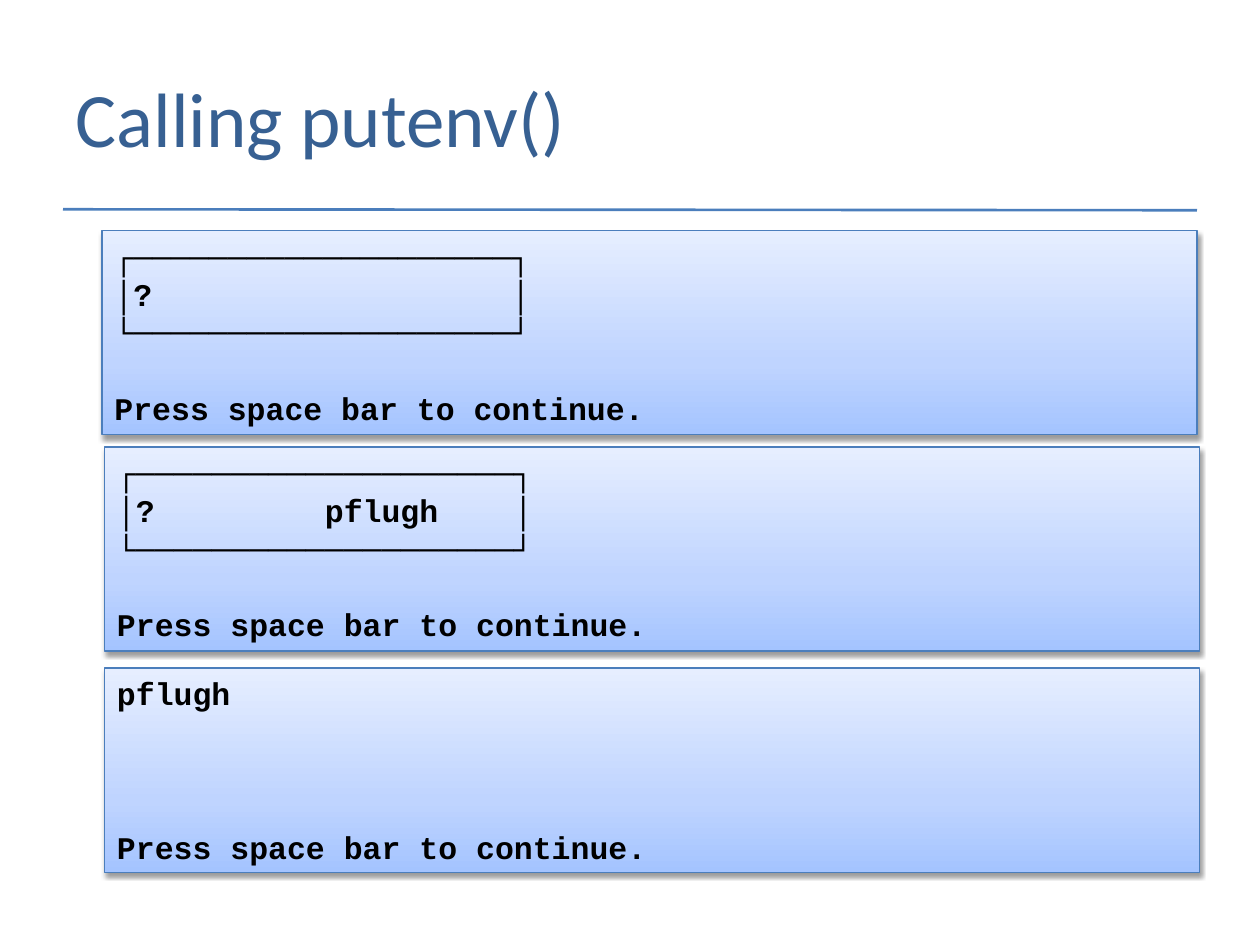
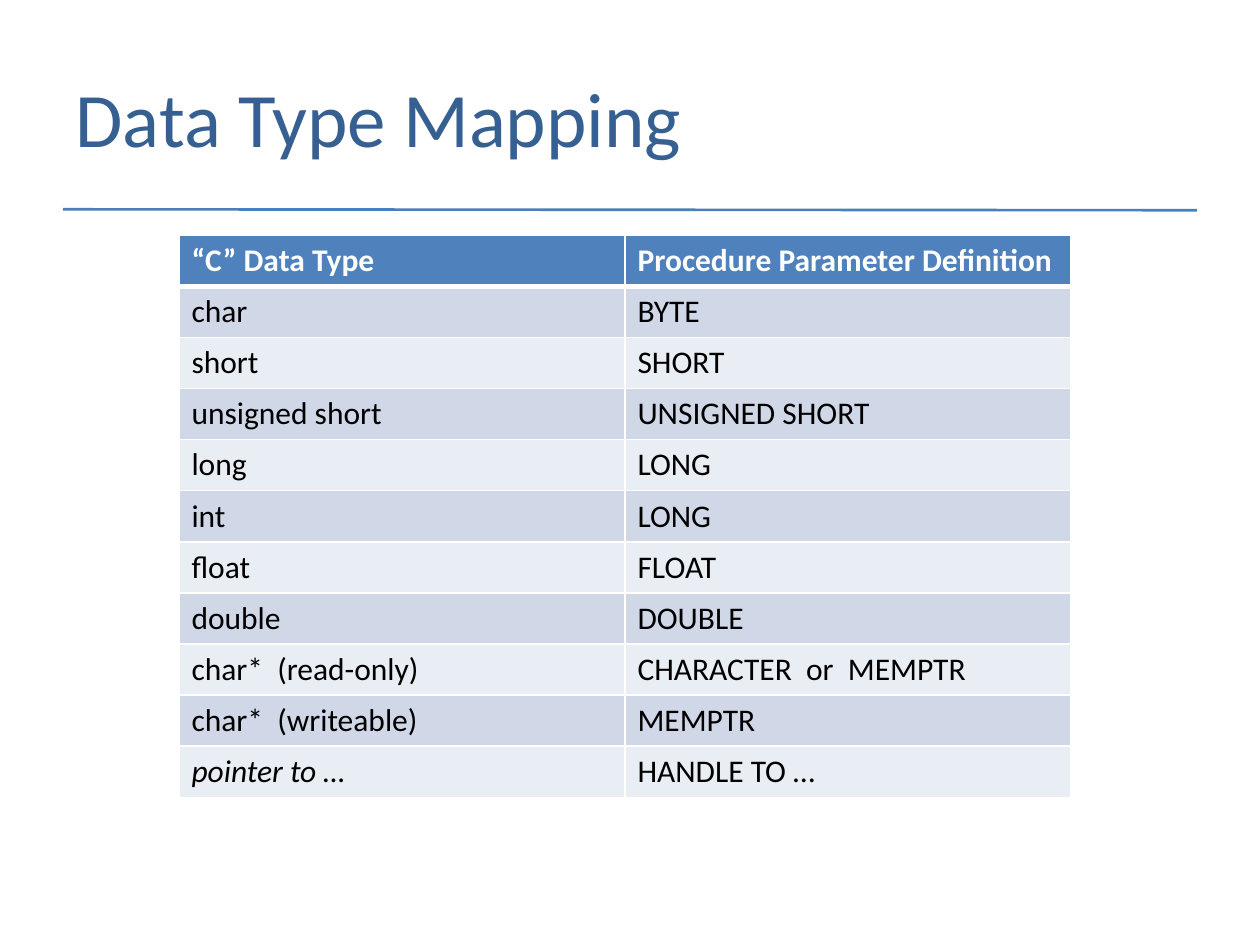
"""Build two slides: console panels for putenv() and a data type mapping table."""
import copy
from dataclasses import dataclass

from lxml import etree
from pptx import Presentation
from pptx import util as u
from pptx.dml.color import RGBColor
from pptx.enum import shapes, text
from pptx.oxml import ns


@dataclass(frozen=True)
class Theme:
    title: str = "376092"
    rule: str = "4B7EBC"
    header: str = "4F81BD"
    bands: tuple[str, str] = ("D0D8E8", "E9EDF4")
    gradient: tuple[tuple[int, str], ...] = ((0, "A4C4FF"), (35, "BFD4FF"), (100, "E6EEFF"))
    white: str = "FFFFFF"
    black: str = "000000"
    sans: str = "Calibri"
    mono: str = "Courier New"
    title_size: float = 44
    body_size: float = 18
    blank_line: float = 22
    mono_advance: float = 0.6


@dataclass(frozen=True)
class Line:
    content: str
    blanks_before: int = 0
    tab_columns: tuple[int, ...] = ()


@dataclass(frozen=True)
class Panel:
    left: float
    top: float
    lines: tuple[Line, ...]


THEME = Theme()
WIDTH, HEIGHT = u.Inches(10), u.Inches(7.5)
MARGIN = 0.05
PANEL_WIDTH, PANEL_HEIGHT = 0.869, 0.216
FRAME_COLUMNS = 20
FRAME_TOP = Line("┌" + "─" * FRAME_COLUMNS + "┐")
FRAME_BOTTOM = Line("└" + "─" * FRAME_COLUMNS + "┘")
PROMPT = "Press space bar to continue."
RIGHT_EDGE = FRAME_COLUMNS + 1

PANELS = (
    Panel(0.081, 0.244, (FRAME_TOP, Line("│?\t│", 0, (RIGHT_EDGE,)), FRAME_BOTTOM, Line(PROMPT, 1))),
    Panel(0.083, 0.473, (FRAME_TOP, Line("│?\tpflugh\t│", 0, (11, RIGHT_EDGE)), FRAME_BOTTOM, Line(PROMPT, 1))),
    Panel(0.083, 0.707, (Line("pflugh"), Line(PROMPT, 3))),
)

MAPPING = (
    ("“C” Data Type", "Procedure Parameter Definition"),
    ("char", "BYTE"),
    ("short", "SHORT"),
    ("unsigned short", "UNSIGNED SHORT"),
    ("long", "LONG"),
    ("int", "LONG"),
    ("float", "FLOAT"),
    ("double", "DOUBLE"),
    ("char*  (read-only)", "CHARACTER  or  MEMPTR"),
    ("char*  (writeable)", "MEMPTR"),
    ("pointer to …", "HANDLE TO …"),
)


def across(share: float) -> u.Emu:
    """Return a share of the slide width."""
    return u.Emu(round(WIDTH * share))


def down(share: float) -> u.Emu:
    """Return a share of the slide height."""
    return u.Emu(round(HEIGHT * share))


def child(parent, tag: str, **attributes):
    """Append a DrawingML element to its parent."""
    return etree.SubElement(parent, ns.qn(tag), {name: str(value) for name, value in attributes.items()})


def add_run(paragraph, content: str, font: str, size: float, color: str,
            bold: bool = False, italic: bool = False) -> None:
    """Add one formatted run to a paragraph."""
    run = paragraph.add_run()
    run.text = content
    run.font.name, run.font.size = font, u.Pt(size)
    run.font.bold, run.font.italic = bold, italic
    run.font.color.rgb = RGBColor.from_string(color)


def add_titled_slide(presentation, title: str):
    """Add a slide with the shared title style and rule."""
    slide = presentation.slides.add_slide(presentation.slide_layouts[5])
    shape = slide.shapes.title
    shape.left, shape.top = across(MARGIN), down(0.04)
    shape.width, shape.height = across(0.783), down(1 / 6)
    frame = shape.text_frame
    frame.word_wrap = True
    frame.vertical_anchor = text.MSO_ANCHOR.MIDDLE
    paragraph = frame.paragraphs[0]
    paragraph.alignment = text.PP_ALIGN.LEFT
    add_run(paragraph, title, THEME.sans, THEME.title_size, THEME.title)
    rule = slide.shapes.add_connector(
        shapes.MSO_CONNECTOR.STRAIGHT, across(MARGIN), down(0.2215), across(1 - MARGIN), down(0.2225))
    rule.line.color.rgb = RGBColor.from_string(THEME.rule)
    rule.line.width = u.Pt(1.5)
    child(rule._element.spPr, "a:effectLst")
    return slide


def style_panel(shape) -> None:
    """Give a panel its gradient, outline and soft shadow."""
    shape.fill.gradient()
    shape.fill.gradient_angle = 90
    stops = shape._element.spPr.find(".//" + ns.qn("a:gsLst"))
    stops.insert(1, copy.deepcopy(stops[0]))
    for stop, (position, color) in zip(shape.fill.gradient_stops, THEME.gradient):
        stop.position = position / 100
        stop.color.rgb = RGBColor.from_string(color)
    shape.line.color.rgb = RGBColor.from_string(THEME.rule)
    shape.line.width = u.Pt(0.75)
    shape.shadow.inherit = False
    effects = shape._element.spPr.find(ns.qn("a:effectLst"))
    shadow = child(effects, "a:outerShdw", blurRad=u.Pt(3.1), dist=u.Pt(1.6), dir=5400000, rotWithShape=0)
    child(child(shadow, "a:srgbClr", val=THEME.black), "a:alpha", val=38000)


def add_panel(slide, panel: Panel) -> None:
    """Draw one console panel with its lines."""
    shape = slide.shapes.add_shape(
        shapes.MSO_SHAPE.RECTANGLE, across(panel.left), down(panel.top), across(PANEL_WIDTH), down(PANEL_HEIGHT))
    style_panel(shape)
    frame = shape.text_frame
    frame.word_wrap = True
    frame.vertical_anchor = text.MSO_ANCHOR.TOP
    for index, line in enumerate(panel.lines):
        paragraph = frame.add_paragraph() if index else frame.paragraphs[0]
        paragraph.alignment = text.PP_ALIGN.LEFT
        paragraph.space_before = u.Pt(line.blanks_before * THEME.blank_line)
        if line.tab_columns:
            tabs = child(paragraph._p.get_or_add_pPr(), "a:tabLst")
            for column in line.tab_columns:
                child(tabs, "a:tab", pos=u.Pt(column * THEME.body_size * THEME.mono_advance), algn="l")
        add_run(paragraph, line.content, THEME.mono, THEME.body_size, THEME.black, bold=True)


def style_cell(cell, fill: str, bottom: float) -> None:
    """Set the white borders and the fill of a cell."""
    properties = cell._tc.get_or_add_tcPr()
    for side, width in (("L", 1), ("R", 1), ("T", 1), ("B", bottom)):
        border = child(properties, f"a:ln{side}", w=u.Pt(width))
        child(child(border, "a:solidFill"), "a:srgbClr", val=THEME.white)
    cell.fill.solid()
    cell.fill.fore_color.rgb = RGBColor.from_string(fill)


def add_mapping(slide, rows: tuple[tuple[str, str], ...]) -> None:
    """Draw the two-column mapping table."""
    table = slide.shapes.add_table(
        len(rows), len(rows[0]), across(0.142), down(0.249), across(0.708), down(0.595)).table
    table.horz_banding = False
    for row, values in enumerate(rows):
        header = row == 0
        fill = THEME.header if header else THEME.bands[(row - 1) % 2]
        for column, content in enumerate(values):
            cell = table.cell(row, column)
            style_cell(cell, fill, 3 if header else 1)
            add_run(cell.text_frame.paragraphs[0], content, THEME.sans, THEME.body_size,
                    THEME.white if header else THEME.black, bold=header,
                    italic=content.startswith("pointer"))


def main() -> None:
    """Build and save the presentation."""
    presentation = Presentation()
    presentation.slide_width, presentation.slide_height = WIDTH, HEIGHT
    console = add_titled_slide(presentation, "Calling putenv()")
    for panel in PANELS:
        add_panel(console, panel)
    add_mapping(add_titled_slide(presentation, "Data Type Mapping"), MAPPING)
    presentation.save("out.pptx")


main()
